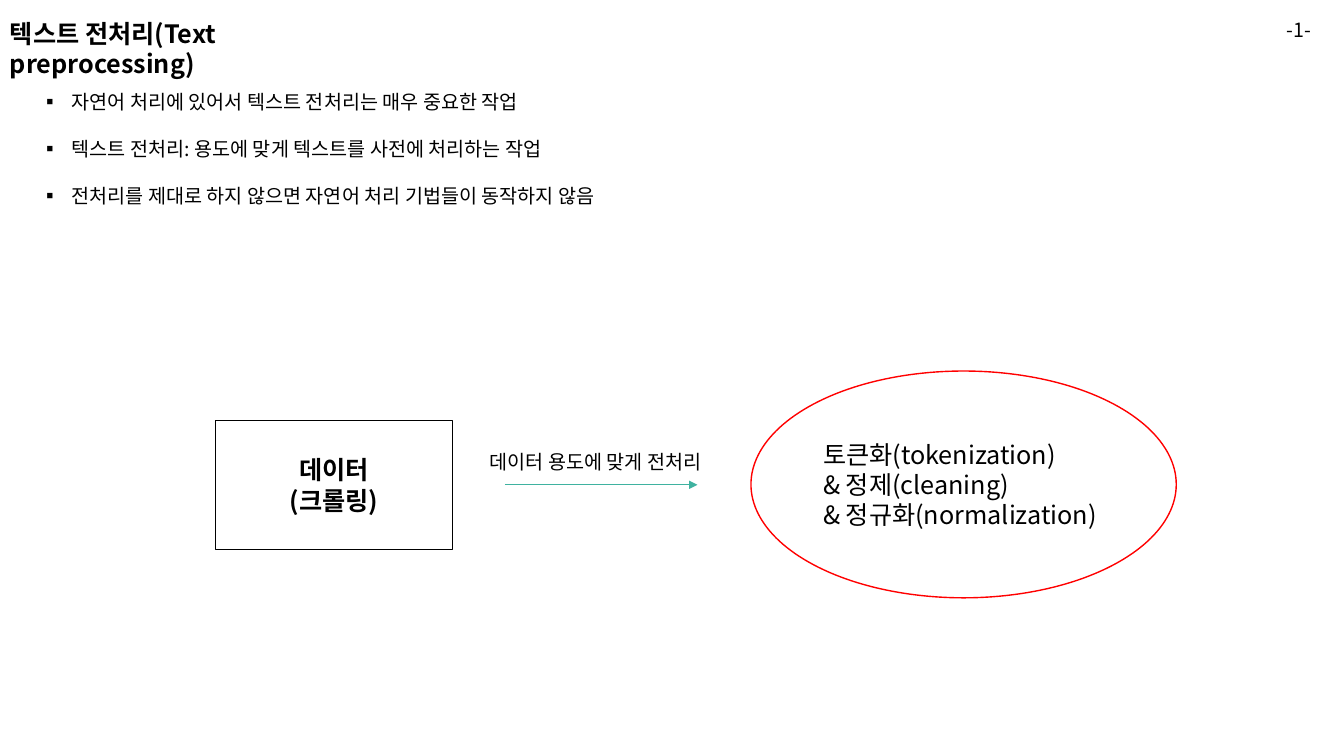
from lxml.etree import SubElement
from pptx import Presentation
from pptx.dml.color import RGBColor
from pptx.enum.shapes import MSO_CONNECTOR, MSO_SHAPE
from pptx.enum.text import MSO_ANCHOR, MSO_AUTO_SIZE, PP_ALIGN
from pptx.oxml.ns import qn
from pptx.util import Pt

FONT = "Noto Sans CJK KR"
COLORS = {"black": "000000", "red": "FF0000", "teal": "3FB2A0"}


def write(box, lines, size, bold=False, align=PP_ALIGN.LEFT, bullet=None, gap=0):
    frame = box.text_frame
    frame.word_wrap = True
    for index, line in enumerate(lines):
        para = frame.paragraphs[0] if index == 0 else frame.add_paragraph()
        para.alignment = align
        if index and gap:
            para.space_before = Pt(gap)
        if bullet:
            properties = para._p.get_or_add_pPr()
            properties.set("marL", str(Pt(22.5)))
            properties.set("indent", str(-Pt(22.5)))
            SubElement(properties, qn("a:buFont"), typeface=FONT)
            SubElement(properties, qn("a:buChar"), char=bullet)
        span = para.add_run()
        span.text = line
        for name, value in {"size": Pt(size), "bold": bold, "name": FONT}.items():
            setattr(span.font, name, value)
        span.font.color.rgb = RGBColor.from_string(COLORS["black"])
        SubElement(span._r.get_or_add_rPr(), qn("a:ea"), typeface=FONT)


deck = Presentation()
deck.slide_width, deck.slide_height = Pt(960), Pt(540)
page = deck.slides.add_slide(deck.slide_layouts[6])

# Title, bullets, arrow label and page number
texts = [
    ((0, 9.4, 289.4, 29), ["텍스트 전처리(Text preprocessing)"], {"size": 18, "bold": True}),
    ((21.6, 60.5, 458.6, 92),
     ["자연어 처리에 있어서 텍스트 전처리는 매우 중요한 작업",
      "텍스트 전처리: 용도에 맞게 텍스트를 사전에 처리하는 작업",
      "전처리를 제대로 하지 않으면 자연어 처리 기법들이 동작하지 않음"],
     {"size": 14, "bullet": "▪", "gap": 16.75}),
    ((342.7, 317.5, 234.7, 24.5), ["데이터 용도에 맞게 전처리"], {"size": 14}),
    ((912.2, 9.4, 36.7, 24.5), ["-1-"], {"size": 14}),
]
for place, lines, style in texts:
    box = page.shapes.add_textbox(*map(Pt, place))
    box.text_frame.auto_size = MSO_AUTO_SIZE.SHAPE_TO_FIT_TEXT
    write(box, lines, **style)

# Data box and preprocessing steps
nodes = [
    (MSO_SHAPE.RECTANGLE, (154.1, 300.2, 169.2, 92.2), "black",
     ["데이터", "(크롤링)"], {"bold": True, "align": PP_ALIGN.CENTER}),
    (MSO_SHAPE.OVAL, (536.4, 265, 303.8, 162), "red",
     ["토큰화(tokenization)", "& 정제(cleaning)", "& 정규화(normalization)"], {}),
]
for kind, place, color, lines, style in nodes:
    node = page.shapes.add_shape(kind, *map(Pt, place))
    node.shadow.inherit = False
    node.fill.background()
    node.line.color.rgb = RGBColor.from_string(COLORS[color])
    node.line.width = Pt(1)
    node.text_frame.vertical_anchor = MSO_ANCHOR.MIDDLE
    write(node, lines, 18, **style)

# Arrow from data to steps
arrow = page.shapes.add_connector(
    MSO_CONNECTOR.STRAIGHT, Pt(360.7), Pt(346.3), Pt(498.2), Pt(346.3))
arrow.line.color.rgb = RGBColor.from_string(COLORS["teal"])
arrow.line.width = Pt(0.5)
SubElement(arrow.get_or_add_ln(), qn("a:tailEnd"), type="triangle")
SubElement(arrow._element.spPr, qn("a:effectLst"))

deck.save("out.pptx")
